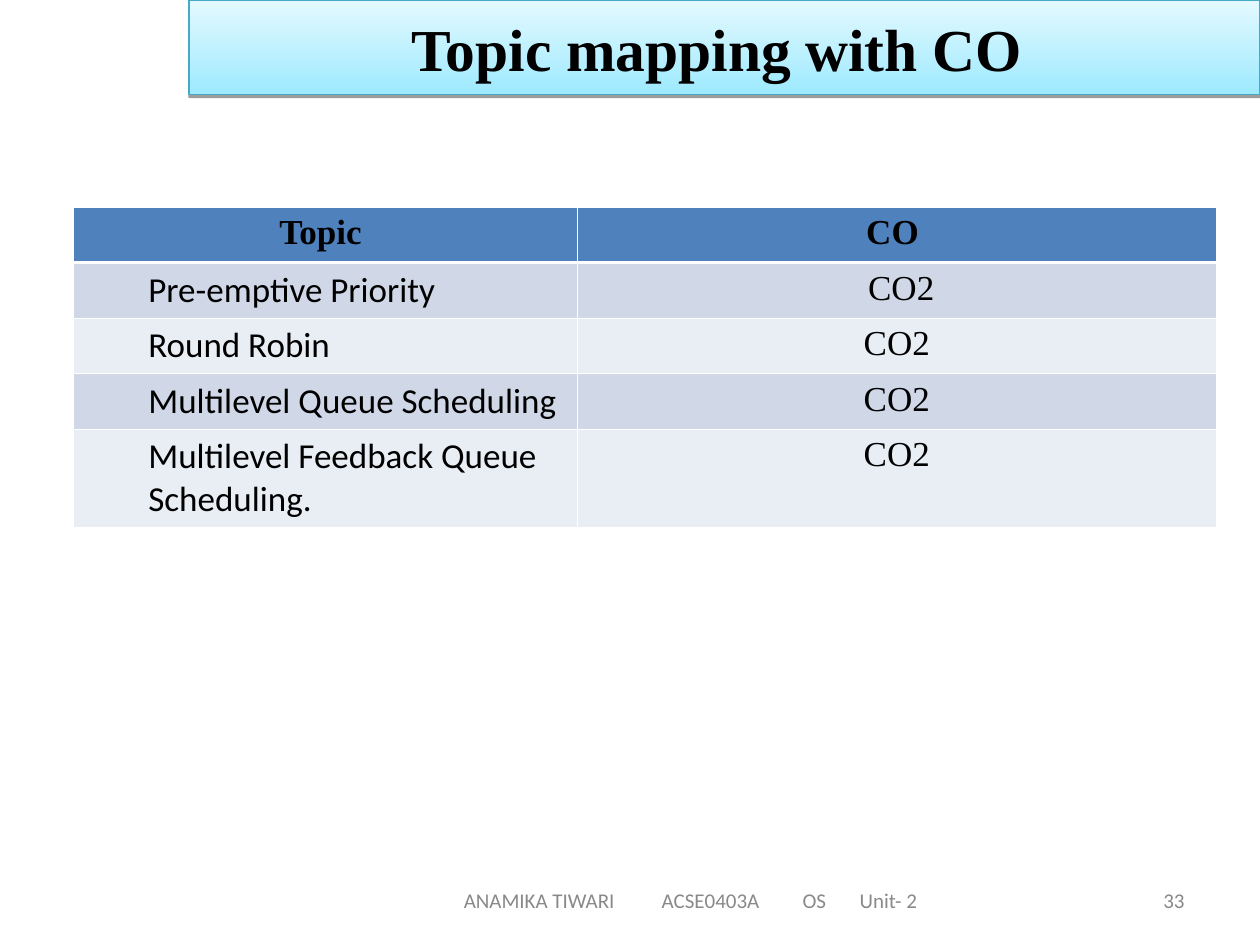
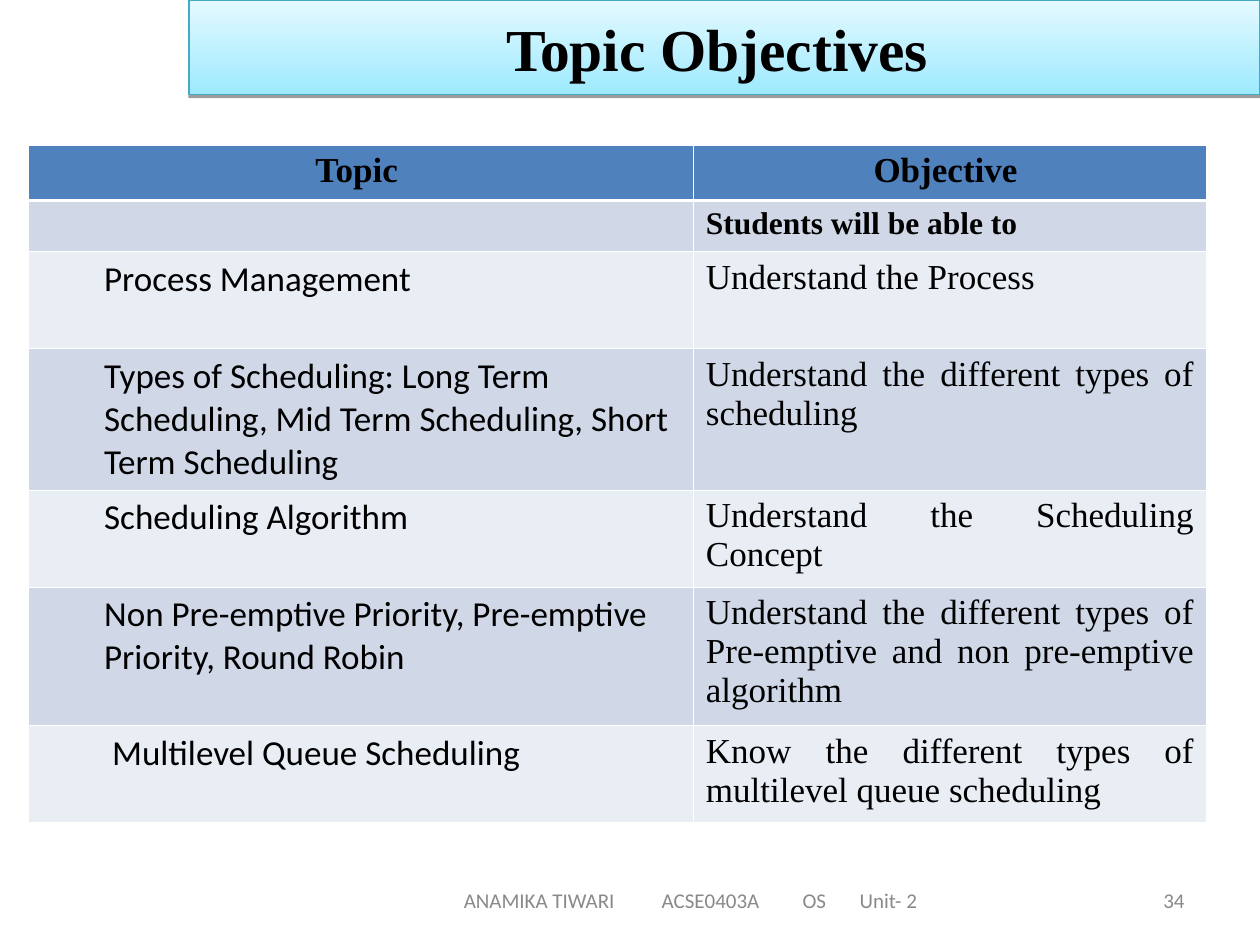
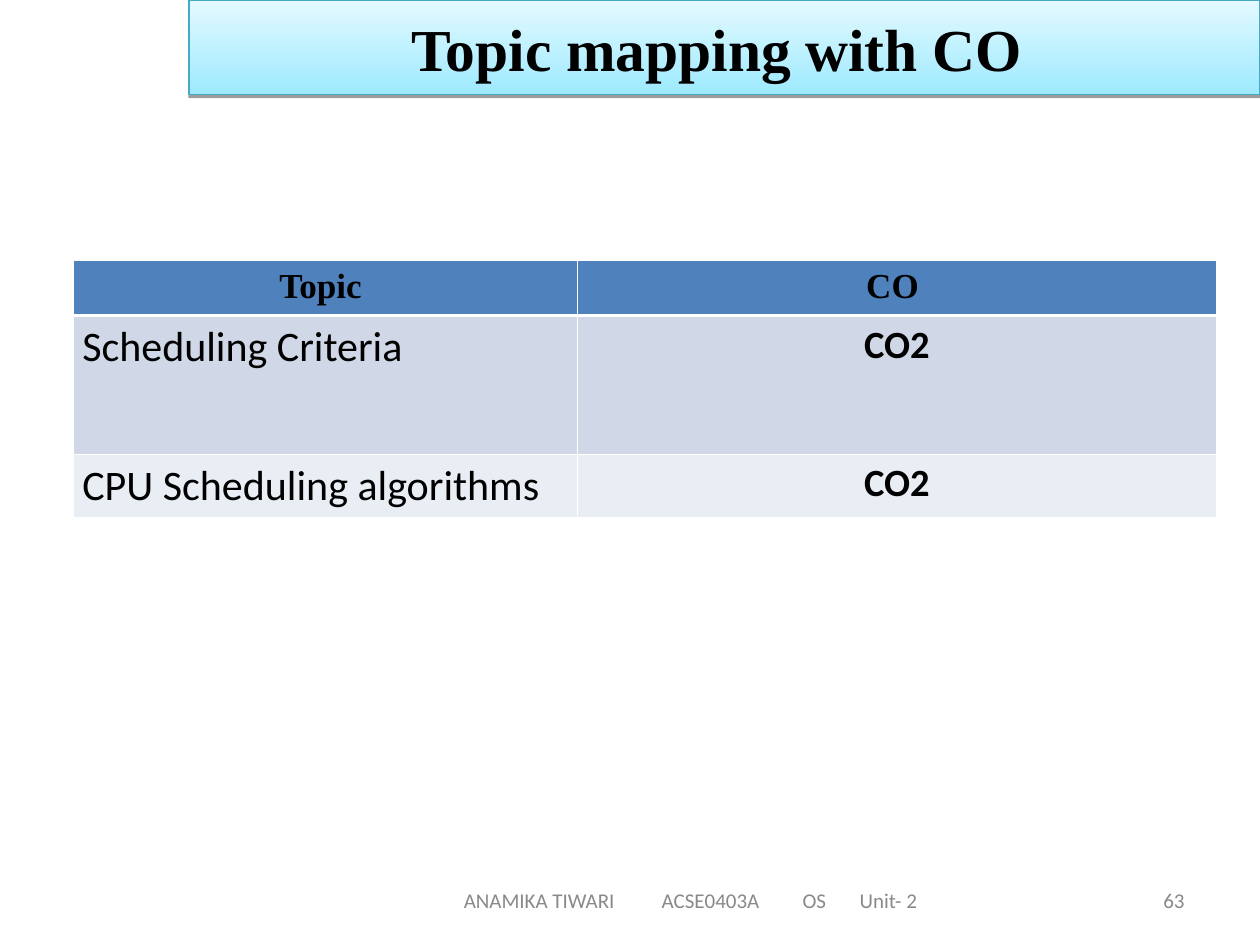
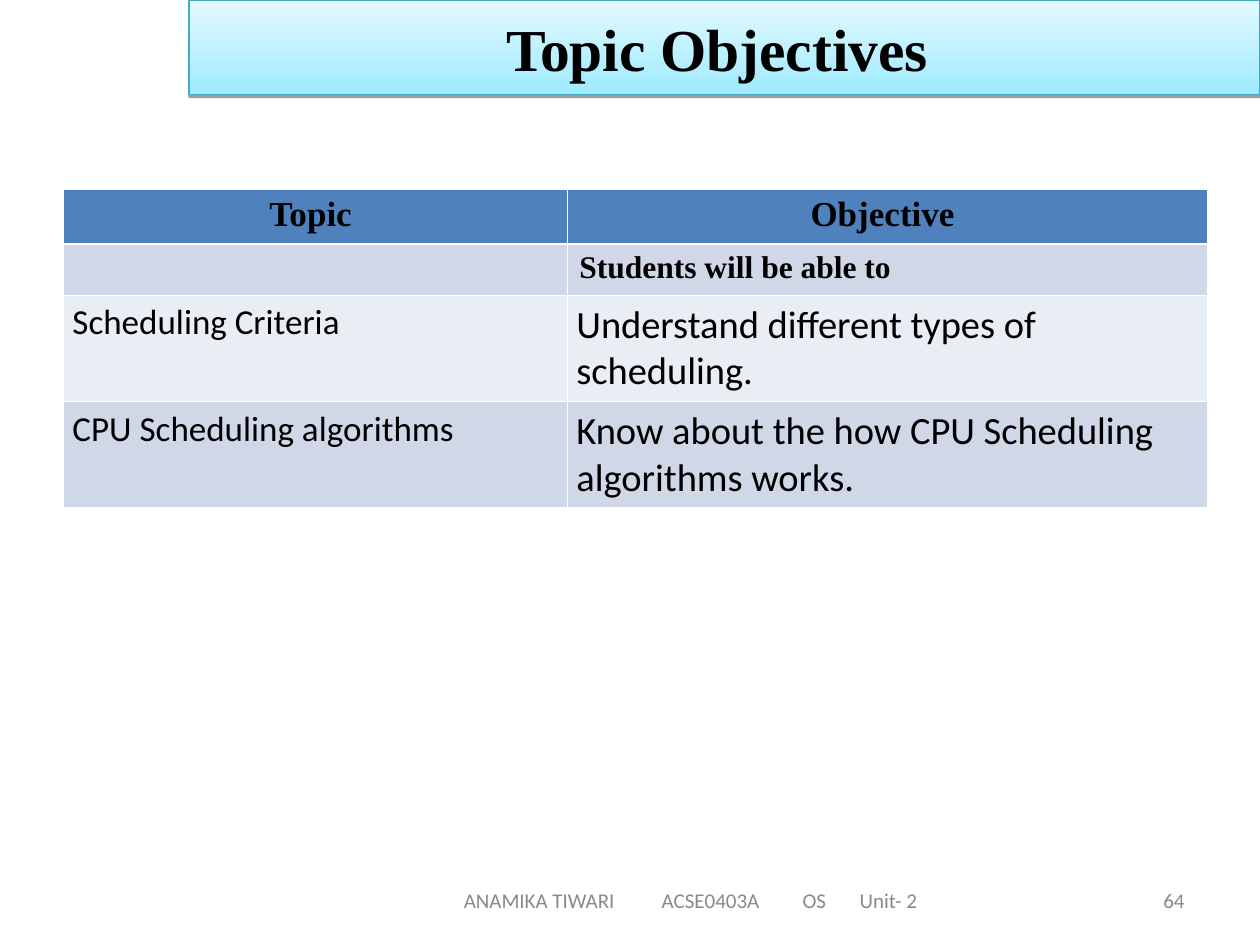
from dataclasses import dataclass
from itertools import product

from lxml.etree import SubElement
from pptx import Presentation
from pptx.dml.color import RGBColor
from pptx.enum.text import MSO_ANCHOR, MSO_AUTO_SIZE, PP_ALIGN
from pptx.oxml import parse_xml
from pptx.oxml.ns import nsdecls, qn
from pptx.util import Cm, Pt


@dataclass(frozen=True)
class TextStyle:
    font: str
    size: int
    bold: bool = False
    align: PP_ALIGN = PP_ALIGN.LEFT
    color: str = "000000"
    indent: float = 0
    inset: float = 0.25


class Theme:
    band_bottom, band_top, band_line = "9EEAFF", "E4F9FF", "46AAC5"
    header_fill, row_fills = "4F81BD", ("D0D8E8", "E9EDF4")
    border, thin, thick = "FFFFFF", 0.45, 1.47
    serif, sans = "Times New Roman", "Calibri"

    title = TextStyle(serif, 34, True, PP_ALIGN.CENTER)
    footer = TextStyle(sans, 12, color="898989")
    number = TextStyle(sans, 12, align=PP_ALIGN.RIGHT, color="898989")
    header = TextStyle(serif, 20, True, PP_ALIGN.CENTER)
    lead_in = TextStyle(serif, 18, True)
    indented = TextStyle(sans, 20, indent=1.27)
    outcome = TextStyle(serif, 20, align=PP_ALIGN.CENTER)
    justified = TextStyle(serif, 20, align=PP_ALIGN.JUSTIFY)
    topic = TextStyle(sans, 20, inset=0.19)
    large_topic = TextStyle(sans, 24, inset=0.19)
    objective = TextStyle(sans, 22, inset=0.19)
    bold_outcome = TextStyle(sans, 22, True, PP_ALIGN.CENTER, inset=0.19)


FOOTER_PARTS = ("ANAMIKA TIWARI", "ACSE0403A", "OS", "Unit- 2")
FOOTER_TABS = (3.99, 6.83, 7.98)
FOOTER_INSET = 2.36

MAPPING, OBJECTIVES = "Topic mapping with CO ", "Topic Objectives "
MAPPING_HEADER, OBJECTIVE_HEADER = ("Topic ", "CO "), ("Topic ", "Objective ")
LEAD_IN = ("", "Students will be able to")
HEADER_HEIGHT, LEAD_IN_HEIGHT = 1.11, 1.02

# Each body row is (height in cm, topic, outcome or objective).
SLIDES = [
    {
        "title": MAPPING, "number": 33, "header": MAPPING_HEADER,
        "at": (1.47, 4.18), "columns": (10.16, 12.9),
        "styles": (Theme.indented, Theme.outcome),
        "rows": [
            (1.11, "Pre-emptive Priority", " CO2"),
            (1.11, "Round Robin", "CO2"),
            (1.11, "Multilevel Queue Scheduling", "CO2"),
            (1.96, "Multilevel Feedback Queue Scheduling.", "CO2"),
        ],
    },
    {
        "title": OBJECTIVES, "number": 34, "header": OBJECTIVE_HEADER,
        "at": (0.58, 2.93), "columns": (13.4, 10.34),
        "styles": (Theme.indented, Theme.justified), "lead_in": LEAD_IN,
        "rows": [
            (1.96, "Process Management", "Understand the Process"),
            (2.79, "Types of Scheduling: Long Term Scheduling, Mid Term "
                   "Scheduling, Short Term Scheduling",
             "Understand the different types of scheduling"),
            (1.96, "Scheduling Algorithm", "Understand the Scheduling Concept"),
            (2.79, "Non Pre-emptive Priority, Pre-emptive Priority, Round Robin",
             "Understand the different types of Pre-emptive and non "
             "pre-emptive algorithm"),
            (1.96, " Multilevel Queue Scheduling",
             "Know the different types of multilevel queue scheduling"),
        ],
    },
    {
        "title": MAPPING, "number": 63, "header": MAPPING_HEADER,
        "at": (1.47, 5.25), "columns": (10.16, 12.9),
        "styles": (Theme.large_topic, Theme.bold_outcome),
        "rows": [
            (2.79, "Scheduling Criteria", "CO2"),
            (1.27, "CPU Scheduling algorithms", "CO2"),
        ],
    },
    {
        "title": OBJECTIVES, "number": 64, "header": OBJECTIVE_HEADER,
        "at": (1.27, 3.81), "columns": (10.16, 12.9),
        "styles": (Theme.topic, Theme.objective), "lead_in": LEAD_IN,
        "rows": [
            (2.13, "Scheduling Criteria",
             "Understand different types of scheduling."),
            (2.13, "CPU Scheduling algorithms",
             "Know about the how CPU Scheduling algorithms works."),
        ],
    },
]


def rgb(code):
    return RGBColor.from_string(code)


def write(text_frame, text, style):
    text_frame.text = text
    paragraph = text_frame.paragraphs[0]
    paragraph.alignment = style.align
    if style.indent:
        properties = paragraph._p.get_or_add_pPr()
        properties.set("marL", str(Cm(style.indent)))
        properties.set("indent", "0")
    for run in paragraph.runs:
        run.font.name = style.font
        run.font.size = Pt(style.size)
        run.font.bold = style.bold
        run.font.color.rgb = rgb(style.color)
    return paragraph


def add_title_band(slide, title):
    band = slide.shapes.title
    band.left, band.top, band.width, band.height = Cm(3.81), 0, Cm(21.59), Cm(1.91)
    band.fill.gradient()
    band.fill.gradient_angle = 90
    for stop, color in zip(band.fill.gradient_stops, (Theme.band_bottom, Theme.band_top)):
        stop.color.rgb = rgb(color)
    band.line.color.rgb = rgb(Theme.band_line)
    band.line.width = Pt(0.75)
    band._element.spPr.append(parse_xml(
        f'<a:effectLst {nsdecls("a")}><a:outerShdw blurRad="0" dist="{Pt(1.6)}" '
        'dir="5400000" rotWithShape="0"><a:srgbClr val="000000">'
        '<a:alpha val="38000"/></a:srgbClr></a:outerShdw></a:effectLst>'))
    write(band.text_frame, title, Theme.title)
    band.text_frame.vertical_anchor = MSO_ANCHOR.MIDDLE
    band.text_frame.auto_size = MSO_AUTO_SIZE.NONE


def add_footer_text(slide, left, width, text, style):
    frame = slide.shapes.add_textbox(Cm(left), Cm(17.65), Cm(width), Cm(1.01)).text_frame
    frame.word_wrap = True
    frame.vertical_anchor = MSO_ANCHOR.MIDDLE
    return frame, write(frame, text, style)


def add_footer(slide, number):
    frame, paragraph = add_footer_text(
        slide, 6.99, 13.97, "\t".join(FOOTER_PARTS), Theme.footer)
    frame.margin_left = Cm(FOOTER_INSET)
    tab_list = SubElement(paragraph._p.get_or_add_pPr(), qn("a:tabLst"))
    for position in FOOTER_TABS:
        SubElement(tab_list, qn("a:tab"), pos=str(Cm(position)), algn="l")
    add_footer_text(slide, 18.21, 5.92, str(number), Theme.number)


def set_borders(cell, top, bottom):
    properties = cell._tc.get_or_add_tcPr()
    widths = {"lnL": Theme.thin, "lnR": Theme.thin, "lnT": top, "lnB": bottom}
    for side, width in widths.items():
        properties.append(parse_xml(
            f'<a:{side} {nsdecls("a")} w="{Pt(width)}"><a:solidFill>'
            f'<a:srgbClr val="{Theme.border}"/></a:solidFill></a:{side}>'))


def add_topic_table(slide, content):
    rows = [(HEADER_HEIGHT, content["header"], (Theme.header,) * 2)]
    if "lead_in" in content:
        rows.append((LEAD_IN_HEIGHT, content["lead_in"], (Theme.lead_in,) * 2))
    rows += [(height, texts, content["styles"]) for height, *texts in content["rows"]]
    columns = content["columns"]
    left, top = content["at"]
    table = slide.shapes.add_table(
        len(rows), len(columns), Cm(left), Cm(top), Cm(sum(columns)),
        Cm(sum(height for height, _, _ in rows))).table
    table.horz_banding = False
    for column, width in zip(table.columns, columns):
        column.width = Cm(width)
    for row, (height, _, _) in zip(table.rows, rows):
        row.height = Cm(height)
    for r, c in product(range(len(rows)), range(len(columns))):
        _, texts, styles = rows[r]
        cell = table.cell(r, c)
        write(cell.text_frame, texts[c], styles[c])
        cell.margin_left = cell.margin_right = Cm(styles[c].inset)
        set_borders(cell, top=Theme.thick if r == 1 else Theme.thin,
                    bottom=Theme.thick if r == 0 else Theme.thin)
        cell.fill.solid()
        cell.fill.fore_color.rgb = rgb(
            Theme.row_fills[(r - 1) % 2] if r else Theme.header_fill)


def main():
    deck = Presentation()
    deck.slide_width, deck.slide_height = Cm(25.4), Cm(19.05)
    title_only = deck.slide_layouts.get_by_name("Title Only")
    for content in SLIDES:
        slide = deck.slides.add_slide(title_only)
        add_title_band(slide, content["title"])
        add_topic_table(slide, content)
        add_footer(slide, content["number"])
    deck.save("out.pptx")


if __name__ == "__main__":
    main()
